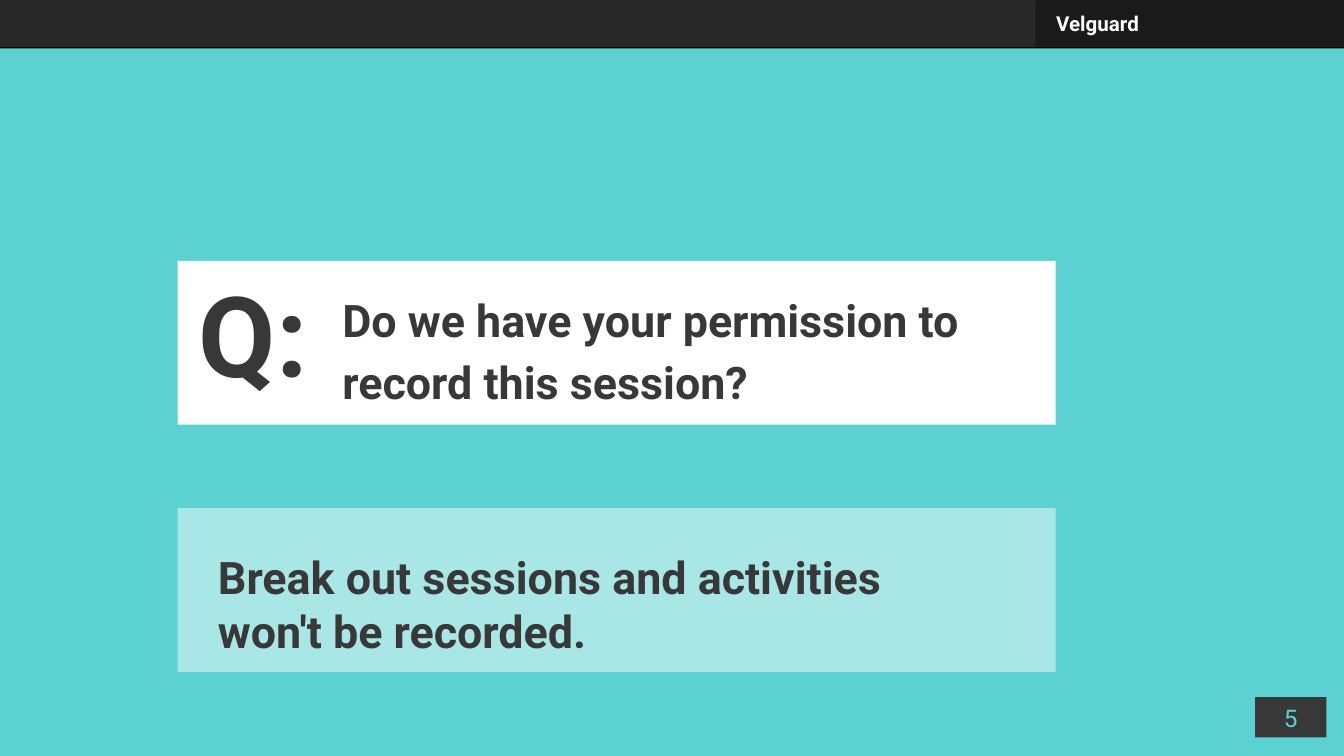
from dataclasses import dataclass
from typing import Optional

from lxml.etree import SubElement
from pptx import Presentation
from pptx.dml.color import RGBColor
from pptx.enum.shapes import MSO_SHAPE
from pptx.enum.text import MSO_ANCHOR, MSO_AUTO_SIZE, PP_ALIGN
from pptx.oxml import parse_xml
from pptx.oxml.ns import qn
from pptx.util import Cm, Pt

COLORS = {
    "teal": "5CD1D1",
    "white": "FFFFFF",
    "charcoal": "383838",
    "bar": "282828",
    "label": "1A1A1A",
}
FONT = "Roboto"
CARD_X, CARD_W, CARD_H = 3.36, 16.59, 3.1
BAR_H, LABEL_X, SLIDE_W = 0.89, 19.58, 25.4

SHADOW = (
    '<a:effectLst xmlns:a="http://schemas.openxmlformats.org/drawingml/2006/main">'
    '<a:outerShdw dist="10160" dir="5400000" algn="bl" rotWithShape="0">'
    '<a:srgbClr val="000000"/></a:outerShdw></a:effectLst>'
)


@dataclass
class Label:
    text: str
    size: float
    color: str = "charcoal"
    bold: bool = True
    align: PP_ALIGN = PP_ALIGN.LEFT
    anchor: MSO_ANCHOR = MSO_ANCHOR.MIDDLE
    insets: tuple = (0.25, 0.25, 0.25, 0.25)  # left, top, right, bottom in cm
    line_spacing: float = 1.0
    space_after: float = 0


@dataclass
class Box:
    x: float
    y: float
    w: float
    h: float
    fill: str
    label: Optional[Label] = None
    opacity: int = 100
    shadow: bool = False


def rgb(name: str) -> RGBColor:
    return RGBColor.from_string(COLORS[name])


def write(sp, label: Label) -> None:
    tf = sp.text_frame
    tf.text = label.text
    tf.word_wrap = True
    tf.auto_size = MSO_AUTO_SIZE.NONE
    tf.vertical_anchor = label.anchor
    (tf.margin_left, tf.margin_top,
     tf.margin_right, tf.margin_bottom) = map(Cm, label.insets)
    p = tf.paragraphs[0]
    p.alignment = label.align
    p.line_spacing = label.line_spacing
    p.space_before = Pt(0)
    p.space_after = Pt(label.space_after)
    for r in p.runs:
        r.font.name = FONT
        r.font.size = Pt(label.size)
        r.font.bold = label.bold
        r.font.color.rgb = rgb(label.color)


def draw_box(s, box: Box) -> None:
    sp = s.shapes.add_shape(MSO_SHAPE.RECTANGLE, Cm(box.x), Cm(box.y), Cm(box.w), Cm(box.h))
    sp.shadow.inherit = False
    sp.fill.solid()
    sp.fill.fore_color.rgb = rgb(box.fill)
    sp.line.fill.background()
    spPr = sp._element.spPr
    if box.opacity < 100:
        clr = spPr.find(qn("a:solidFill")).find(qn("a:srgbClr"))
        SubElement(clr, qn("a:alpha")).set("val", str(box.opacity * 1000))
    if box.shadow:
        spPr.replace(spPr.find(qn("a:effectLst")), parse_xml(SHADOW))
    if box.label:
        write(sp, box.label)


def place(sp, x: float, y: float, w: float, h: float, label: Label) -> None:
    """Move a placeholder in front of the boxes and fill it."""
    sp.left, sp.top, sp.width, sp.height = Cm(x), Cm(y), Cm(w), Cm(h)
    sp._element.getparent().append(sp._element)
    write(sp, label)


def remove_bullet(p) -> None:
    pPr = p._p.get_or_add_pPr()
    pPr.set("marL", "0")
    pPr.set("indent", "0")
    SubElement(pPr, qn("a:buNone"))


BOXES = [
    Box(0, 0, LABEL_X, BAR_H, "bar", shadow=True),
    Box(LABEL_X, 0, SLIDE_W - LABEL_X, BAR_H, "label", shadow=True,
        label=Label("Velguard", 11, "white", insets=(0.38, 0.25, 0.25, 0.25))),
    Box(CARD_X, 9.6, CARD_W, CARD_H, "white", opacity=48,
        label=Label("Break out sessions and activities \vwon't be recorded.", 24,
                    insets=(0.76, 0.76, 0.25, 0.25), space_after=16)),
    Box(CARD_X, 4.93, CARD_W, CARD_H, "white"),
]
PAGE_NUMBER = Box(23.72, 13.18, 1.35, 0.76, "charcoal",
                  Label("5", 13, "teal", bold=False, align=PP_ALIGN.CENTER))


def main() -> None:
    prs = Presentation()
    prs.slide_width, prs.slide_height = Cm(SLIDE_W), Cm(14.29)
    s = prs.slides.add_slide(prs.slide_layouts[1])
    s.background.fill.solid()
    s.background.fill.fore_color.rgb = rgb("teal")

    for box in BOXES:
        draw_box(s, box)

    place(s.shapes.title, 3.51, 4.93, 2.59, 2.64,
          Label("Q:", 60, anchor=MSO_ANCHOR.BOTTOM,
                insets=(0.25, 0, 0.25, 0), line_spacing=0.85))
    body = s.placeholders[1]
    place(body, 6.22, 5.13, 13.89, 2.64,
          Label("Do we have your permission to record this session?", 24,
                anchor=MSO_ANCHOR.TOP, line_spacing=1.15, space_after=16))
    remove_bullet(body.text_frame.paragraphs[0])

    draw_box(s, PAGE_NUMBER)
    prs.save("out.pptx")


if __name__ == "__main__":
    main()
